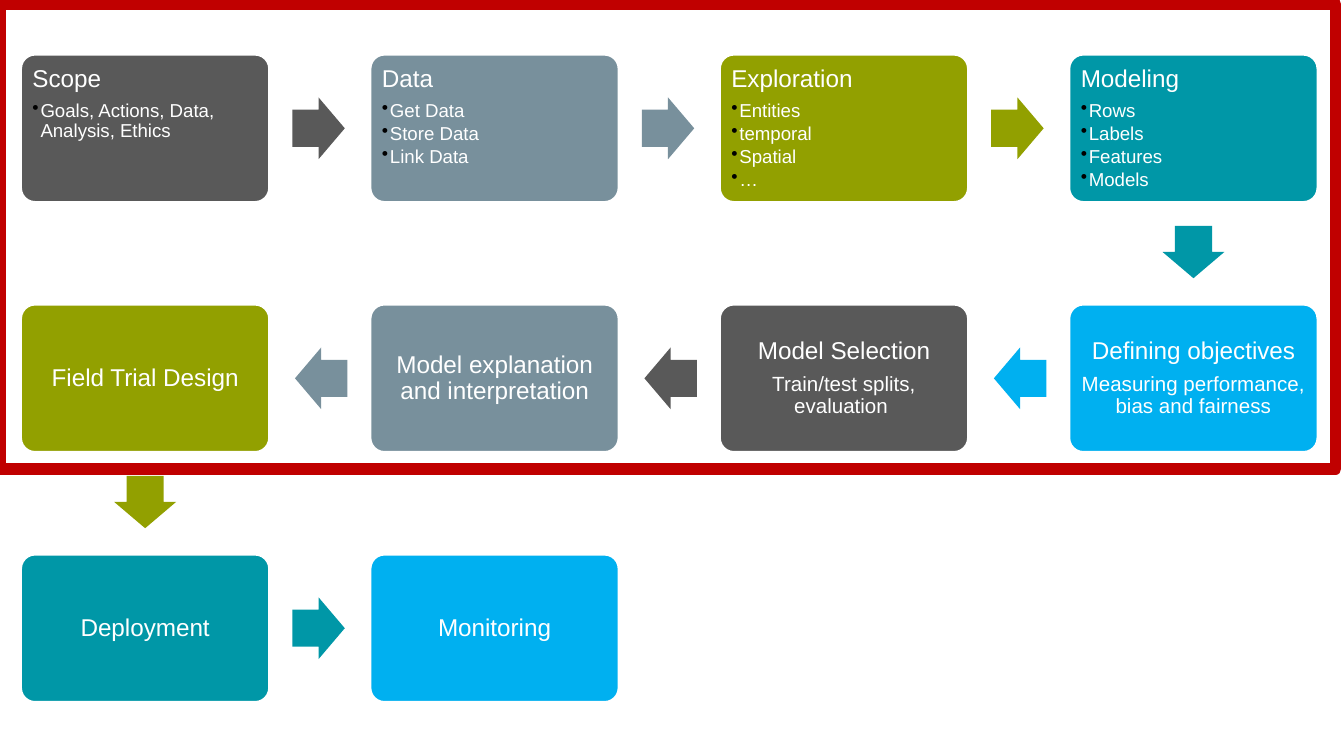
"""Build a slide that shows a ten-step project workflow as a snaking flow."""
from lxml.etree import SubElement
from pptx import Presentation
from pptx.dml.color import RGBColor
from pptx.enum.shapes import MSO_SHAPE
from pptx.enum.text import MSO_ANCHOR, PP_ALIGN
from pptx.oxml.ns import qn
from pptx.util import Inches, Pt

COLORS = {
    "gray": "595959", "slate": "78909C", "olive": "92A000", "teal": "0097A7",
    "sky": "00B0F0", "white": "FFFFFF", "black": "000000", "red": "C00000",
}
COLS = 4
LEFT, TOP = 0.15, 0.4
COL_STEP, ROW_STEP = 2.6, 1.86
BOX_W, BOX_H = 1.86, 1.11
ARROW_W, ARROW_H = 0.39, 0.46
ARROW_SHIFT = 0.01

STEPS = [
    ("Scope", "gray", ["Goals, Actions, Data, Analysis, Ethics"]),
    ("Data", "slate", ["Get Data", "Store Data", "Link Data"]),
    ("Exploration", "olive", ["Entities", "temporal", "Spatial", "…"]),
    ("Modeling", "teal", ["Rows", "Labels", "Features", "Models"]),
    ("Defining objectives", "sky", ["Measuring performance, bias and fairness"]),
    ("Model Selection", "gray", ["Train/test splits, evaluation "]),
    ("Model explanation and interpretation", "slate", []),
    ("Field Trial Design", "olive", []),
    ("Deployment", "teal", []),
    ("Monitoring", "sky", []),
]


def rgb(name):
    return RGBColor.from_string(COLORS[name])


def write(p, text, size=13, after=0.35, align=PP_ALIGN.CENTER, bullet=False):
    p.alignment = align
    p.line_spacing = 0.9
    p.space_after = Pt(size * after)
    r = p.add_run()
    r.text = text
    r.font.name = "Arial"
    r.font.size = Pt(size)
    r.font.color.rgb = rgb("white")
    if bullet:
        p.level = 1
        pPr = p._p.get_or_add_pPr()
        pPr.set("marL", str(Inches(0.06)))
        pPr.set("indent", str(Inches(-0.06)))
        clr = SubElement(pPr, qn("a:buClr"))
        SubElement(clr, qn("a:srgbClr"), val=COLORS["black"])
        SubElement(pPr, qn("a:buChar"), char="•")


prs = Presentation()
prs.slide_width, prs.slide_height = Inches(10), Inches(10 * 9 / 16)
s = prs.slides.add_slide(prs.slide_layouts[6])

cells = []
for i in range(len(STEPS)):
    row, col = divmod(i, COLS)
    cells.append((row, COLS - 1 - col if row % 2 else col))

for i, (title, color, details) in enumerate(STEPS):
    row, col = cells[i]
    x, y = LEFT + col * COL_STEP, TOP + row * ROW_STEP
    sp = s.shapes.add_shape(MSO_SHAPE.ROUNDED_RECTANGLE, Inches(x), Inches(y),
                            Inches(BOX_W), Inches(BOX_H))
    sp.adjustments[0] = 0.1
    sp.shadow.inherit = False
    sp.fill.solid()
    sp.fill.fore_color.rgb = rgb(color)
    sp.line.color.rgb = rgb("white")
    sp.line.width = Pt(2)

    listed = row == 0
    align = PP_ALIGN.LEFT if listed else PP_ALIGN.CENTER
    tf = sp.text_frame
    tf.word_wrap = True
    tf.vertical_anchor = MSO_ANCHOR.TOP if listed else MSO_ANCHOR.MIDDLE
    tf.margin_right = tf.margin_bottom = Inches(0.05)
    tf.margin_left = tf.margin_top = Inches(0.06 if listed else 0.05)
    write(tf.paragraphs[0], title, align=align)
    for detail in details:
        write(tf.add_paragraph(), detail, size=10 if listed else 11,
              after=0.15 if listed else 0.35, align=align, bullet=listed)

    if i + 1 < len(STEPS):
        next_row, next_col = cells[i + 1]
        dx, dy = next_col - col, next_row - row
        cx = x + BOX_W / 2 + dx * (COL_STEP / 2 - ARROW_SHIFT)
        cy = y + BOX_H / 2 + dy * (ROW_STEP / 2 - ARROW_SHIFT)
        sp = s.shapes.add_shape(MSO_SHAPE.RIGHT_ARROW, Inches(cx - ARROW_W / 2),
                                Inches(cy - ARROW_H / 2), Inches(ARROW_W), Inches(ARROW_H))
        sp.adjustments[0], sp.adjustments[1] = 0.6, 0.5
        sp.rotation = 90 if dy else 180 if dx < 0 else 0
        sp.shadow.inherit = False
        sp.fill.solid()
        sp.fill.fore_color.rgb = rgb(color)
        sp.line.fill.background()

frame = s.shapes.add_shape(MSO_SHAPE.RECTANGLE, 0, Inches(0.03), Inches(9.94), Inches(3.46))
frame.shadow.inherit = False
frame.fill.background()
frame.line.color.rgb = rgb("red")
frame.line.width = Pt(6)

prs.save("out.pptx")
